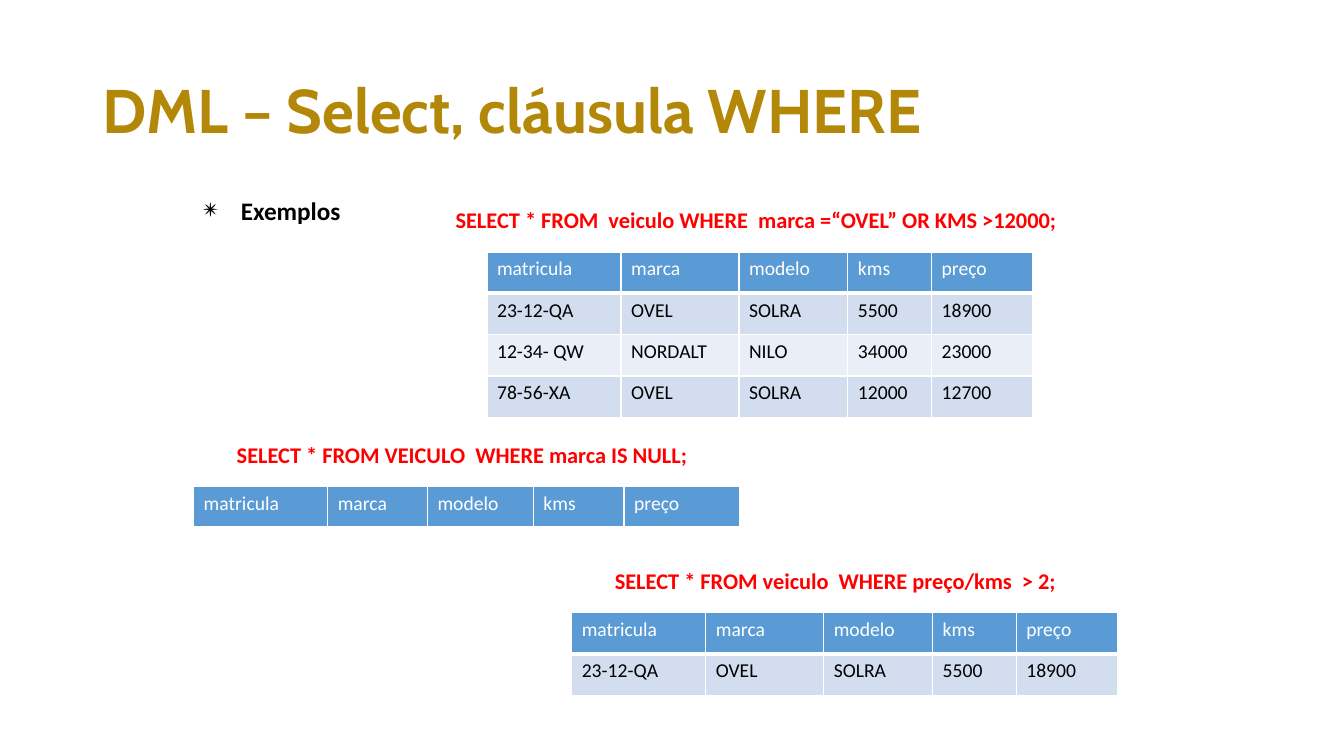
from dataclasses import dataclass

from lxml import etree
from pptx import Presentation
from pptx import util as u
from pptx.dml.color import RGBColor
from pptx.enum import text as t
from pptx.oxml import ns

SCALE = 9144  # EMU per px, 100 px to the inch
ROW = 41
WHITE, BLACK, RED, GOLD = "FFFFFF", "000000", "FF0000", "B38808"
HEAD, BANDS = "5B9BD5", ("D2DEEF", "EAEFF7")
FIELDS = ("matricula", "marca", "modelo", "kms", "preço")
CARS = (
    ("23-12-QA", "OVEL", "SOLRA", "5500", "18900"),
    ("12-34- QW", "NORDALT", "NILO", "34000", "23000"),
    ("78-56-XA", "OVEL", "SOLRA", "12000", "12700"),
)
WIDE = (133, 117, 108, 83, 100)


@dataclass(frozen=True)
class Label:
    words: str
    box: tuple[int, int, int, int]
    size: int
    color: str
    font: str = "Calibri"
    fill: str | None = None
    anchor: t.MSO_ANCHOR = t.MSO_ANCHOR.TOP
    line: float = 1.0


@dataclass(frozen=True)
class Query:
    label: Label
    left: int
    top: int
    cols: tuple[int, ...]
    rows: tuple[tuple[str, ...], ...]


def sql(words: str, *box: int, fill: str | None = None) -> Label:
    return Label(words, box, 16, RED, fill=fill)


TITLE = Label("DML – Select, cláusula WHERE", (92, 40, 1150, 145), 44, GOLD,
              font="Cabin", anchor=t.MSO_ANCHOR.MIDDLE, line=0.9)
TOPIC = Label("Exemplos", (192, 183, 900, 50), 18, BLACK, line=1.2)
QUERIES = (
    Query(sql("SELECT * FROM  veiculo WHERE  marca =“OVEL” OR KMS >12000;",
              442, 200, 658, 37, fill=WHITE), 483, 250, WIDE, CARS),
    Query(sql("SELECT * FROM veiculo  WHERE preço/kms  > 2;",
              600, 558, 550, 37), 567, 608, WIDE, CARS[:1]),
    Query(sql("SELECT * FROM VEICULO  WHERE marca IS NULL;",
              225, 433, 500, 37), 192, 483, (133, 99, 105, 90, 115), ()),
)


def px(n: int) -> u.Emu:
    return u.Emu(n * SCALE)


def rgb(code: str) -> RGBColor:
    return RGBColor.from_string(code)


def style(para, size: int, color: str, font: str, bold: bool) -> None:
    looks = {"size": u.Pt(size), "name": font, "bold": bold}
    for run in para.runs:
        for key, val in looks.items():
            setattr(run.font, key, val)
        run.font.color.rgb = rgb(color)


def paint(fill, color: str) -> None:
    fill.solid()
    fill.fore_color.rgb = rgb(color)


def write(slide, label: Label):
    """Draw a bold label and return its paragraph."""
    box = slide.shapes.add_textbox(*map(px, label.box))
    if label.fill:
        paint(box.fill, label.fill)
    frame = box.text_frame
    frame.word_wrap = True
    frame.vertical_anchor = label.anchor
    para = frame.paragraphs[0]
    para.text = label.words
    para.line_spacing = label.line
    style(para, label.size, label.color, label.font, True)
    return para


def bullet(para, mark: str, indent: int) -> None:
    para.space_before = u.Pt(10)
    props = para._p.get_or_add_pPr()
    props.set("marL", str(px(indent)))
    props.set("indent", str(px(-indent)))
    etree.SubElement(props, ns.qn("a:buChar")).set("char", mark)


def edge(cell, base: int) -> None:
    """Rule the four sides in white, the bottom one base points wide."""
    props = cell._tc.get_or_add_tcPr()
    for side, width in {"L": 1, "R": 1, "T": 1, "B": base}.items():
        rule = etree.SubElement(props, ns.qn(f"a:ln{side}"))
        rule.set("w", str(u.Pt(width)))
        fill = etree.SubElement(rule, ns.qn("a:solidFill"))
        etree.SubElement(fill, ns.qn("a:srgbClr")).set("val", WHITE)


def grid(slide, query: Query) -> None:
    rows = (FIELDS, *query.rows)
    size = (sum(query.cols), ROW * len(rows))
    frame = slide.shapes.add_table(len(rows), len(FIELDS), px(query.left),
                                   px(query.top), *map(px, size))
    table = frame.table
    for col, width in zip(table.columns, query.cols):
        col.width = px(width)
    for r, row in enumerate(rows):
        table.rows[r].height = px(ROW)
        for c, words in enumerate(row):
            cell = table.cell(r, c)
            edge(cell, 1 if r else 3)
            paint(cell.fill, BANDS[(r - 1) % 2] if r else HEAD)
            cell.text = words
            style(cell.text_frame.paragraphs[0], 14,
                  BLACK if r else WHITE, "Calibri", False)


def main() -> None:
    deck = Presentation()
    deck.slide_width, deck.slide_height = px(1333), px(750)
    slide = deck.slides.add_slide(deck.slide_layouts[6])
    bullet(write(slide, TOPIC), "✴", 37)
    for query in QUERIES:
        write(slide, query.label)
        grid(slide, query)
    write(slide, TITLE)
    deck.save("out.pptx")


if __name__ == "__main__":
    main()
